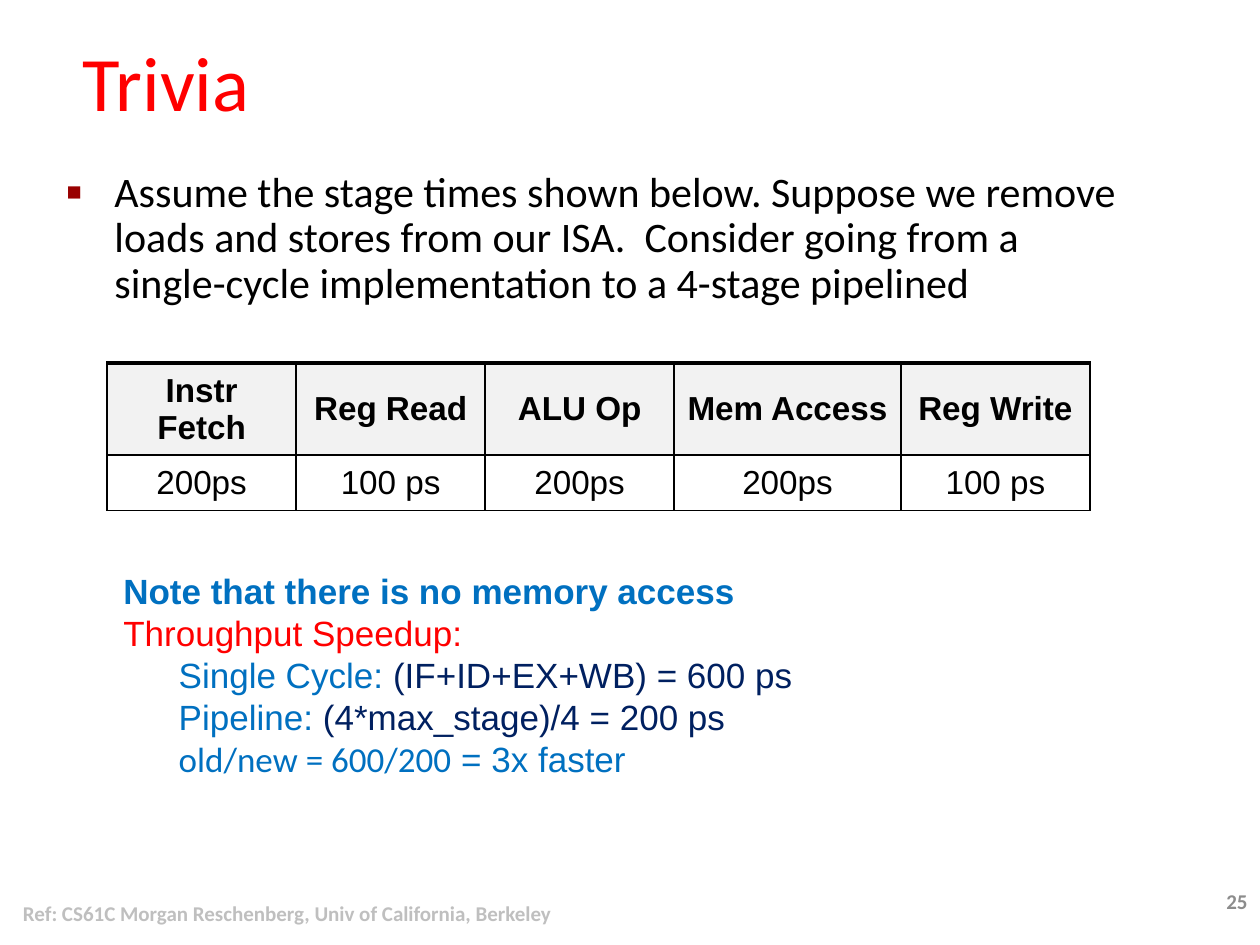
from lxml import etree
from pptx import Presentation
from pptx.dml.color import RGBColor
from pptx.enum.text import MSO_ANCHOR, PP_ALIGN
from pptx.oxml.ns import qn
from pptx.util import Inches, Pt

MIDDLE, TOP = MSO_ANCHOR.MIDDLE, MSO_ANCHOR.TOP
LEFT, CENTER, RIGHT = PP_ALIGN.LEFT, PP_ALIGN.CENTER, PP_ALIGN.RIGHT

COLORS = {
    "black": "000000",
    "red": "FF0000",
    "bullet": "990000",
    "blue": "0070C0",
    "navy": "002060",
    "header": "F2F2F2",
    "number": "8C8C8C",
    "reference": "BFBFBF",
}

STAGES = [
    ("Instr Fetch", "200ps", 1.5),
    ("Reg Read", "100 ps", 1.5),
    ("ALU Op", "200ps", 1.5),
    ("Mem Access", "200ps", 1.8),
    ("Reg Write", "100 ps", 1.5),
]
ROW_HEIGHTS = (0.69, 0.44)
HEADER_BORDERS = {"a:lnL": 1, "a:lnR": 1, "a:lnT": 2.25, "a:lnB": 1.5}
VALUE_BORDERS = {"a:lnL": 1, "a:lnR": 1, "a:lnT": 1.5, "a:lnB": 1}

# Each line is its indent in inches and its spans: text, colour, other formats.
NOTES = [
    (0.44, [("Note that there is no memory access", "blue", {"bold": True})]),
    (0.44, [("Throughput Speedup:", "red", {})]),
    (0.88, [("Single Cycle: ", "blue", {}), ("(IF+ID+EX+WB) = 600 ps", "navy", {})]),
    (0.88, [("Pipeline: ", "blue", {}), ("(4*max_stage)/4 = 200 ps", "navy", {})]),
    (0.88, [("old/new = 600/200", "blue", {"name": "Calibri"}), (" = 3x faster", "blue", {})]),
]


def add_span(para, text, color, size, name="Calibri", bold=False):
    span = para.add_run()
    span.text = text
    for attribute, value in {"size": Pt(size), "name": name, "bold": bold}.items():
        setattr(span.font, attribute, value)
    span.font.color.rgb = RGBColor.from_string(COLORS[color])


def add_box(page, left, top, width, height, anchor=MIDDLE):
    box = page.shapes.add_textbox(Inches(left), Inches(top), Inches(width), Inches(height))
    box.text_frame.word_wrap = True
    box.text_frame.vertical_anchor = anchor
    return box.text_frame


def add_label(page, place, text, color, size, align=LEFT, anchor=MIDDLE, bold=False, spacing=1.0):
    para = add_box(page, *place, anchor).paragraphs[0]
    para.alignment = align
    para.line_spacing = spacing
    add_span(para, text, color, size, bold=bold)
    return para


def indent(para, margin, first=0):
    props = para._p.get_or_add_pPr()
    props.set("marL", str(Inches(margin)))
    props.set("indent", str(Inches(first)))
    return props


def add_bullet(para, symbol, color, percent):
    props = indent(para, 0.38, -0.38)
    bullet_color = etree.SubElement(props, qn("a:buClr"))
    etree.SubElement(bullet_color, qn("a:srgbClr"), val=COLORS[color])
    etree.SubElement(props, qn("a:buSzPct"), val=str(percent * 1000))
    etree.SubElement(props, qn("a:buFont"), typeface="Arial")
    etree.SubElement(props, qn("a:buChar"), char=symbol)


def add_borders(cell, widths):
    props = cell._tc.get_or_add_tcPr()
    for position, (tag, width) in enumerate(widths.items()):
        line = etree.Element(qn(tag), w=str(Pt(width)))
        fill = etree.SubElement(line, qn("a:solidFill"))
        etree.SubElement(fill, qn("a:srgbClr"), val=COLORS["black"])
        props.insert(position, line)


def fill_cell(cell, text, is_header):
    cell.vertical_anchor = MIDDLE
    if is_header:
        cell.fill.solid()
        cell.fill.fore_color.rgb = RGBColor.from_string(COLORS["header"])
    else:
        cell.fill.background()
    add_borders(cell, HEADER_BORDERS if is_header else VALUE_BORDERS)
    para = cell.text_frame.paragraphs[0]
    para.alignment = CENTER
    add_span(para, text, "black", 19, "Arial", is_header)


def add_stage_table(page):
    width = sum(stage[2] for stage in STAGES)
    table = page.shapes.add_table(
        len(ROW_HEIGHTS), len(STAGES), Inches(0.85), Inches(2.88),
        Inches(width), Inches(sum(ROW_HEIGHTS))).table
    for row, height in zip(table.rows, ROW_HEIGHTS):
        row.height = Inches(height)
    for column, (name, time, column_width) in enumerate(STAGES):
        table.columns[column].width = Inches(column_width)
        fill_cell(table.cell(0, column), name, True)
        fill_cell(table.cell(1, column), time, False)


def add_notes(page):
    frame = add_box(page, 0.44, 4.47, 8.64, 1.57, TOP)
    for number, (margin, spans) in enumerate(NOTES):
        para = frame.add_paragraph() if number else frame.paragraphs[0]
        indent(para, margin)
        for text, color, formats in spans:
            add_span(para, text, color, 20, **{"name": "Arial", **formats})


def main():
    deck = Presentation()
    deck.slide_width, deck.slide_height = Inches(10), Inches(7.5)
    page = deck.slides.add_slide(deck.slide_layouts[6])

    add_label(page, (0.56, 0.11, 8.92, 1.15), "Trivia", "red", 44, spacing=0.9)
    question = add_label(
        page, (0.43, 1.31, 8.64, 1.57),
        "Assume the stage times shown below. Suppose we remove loads and stores from our ISA.  "
        "Consider going from a single-cycle implementation to a 4-stage pipelined",
        "black", 24, anchor=TOP, spacing=0.9)
    add_bullet(question, "■", "bullet", 60)
    add_label(page, (7.75, 6.95, 2.25, 0.4), "25", "number", 12, RIGHT, bold=True)
    add_stage_table(page)
    add_notes(page)
    add_label(page, (0.04, 7.05, 4.48, 0.4),
              "Ref: CS61C Morgan Reschenberg, Univ of California, Berkeley",
              "reference", 12, CENTER, bold=True)

    deck.save("out.pptx")


if __name__ == "__main__":
    main()
